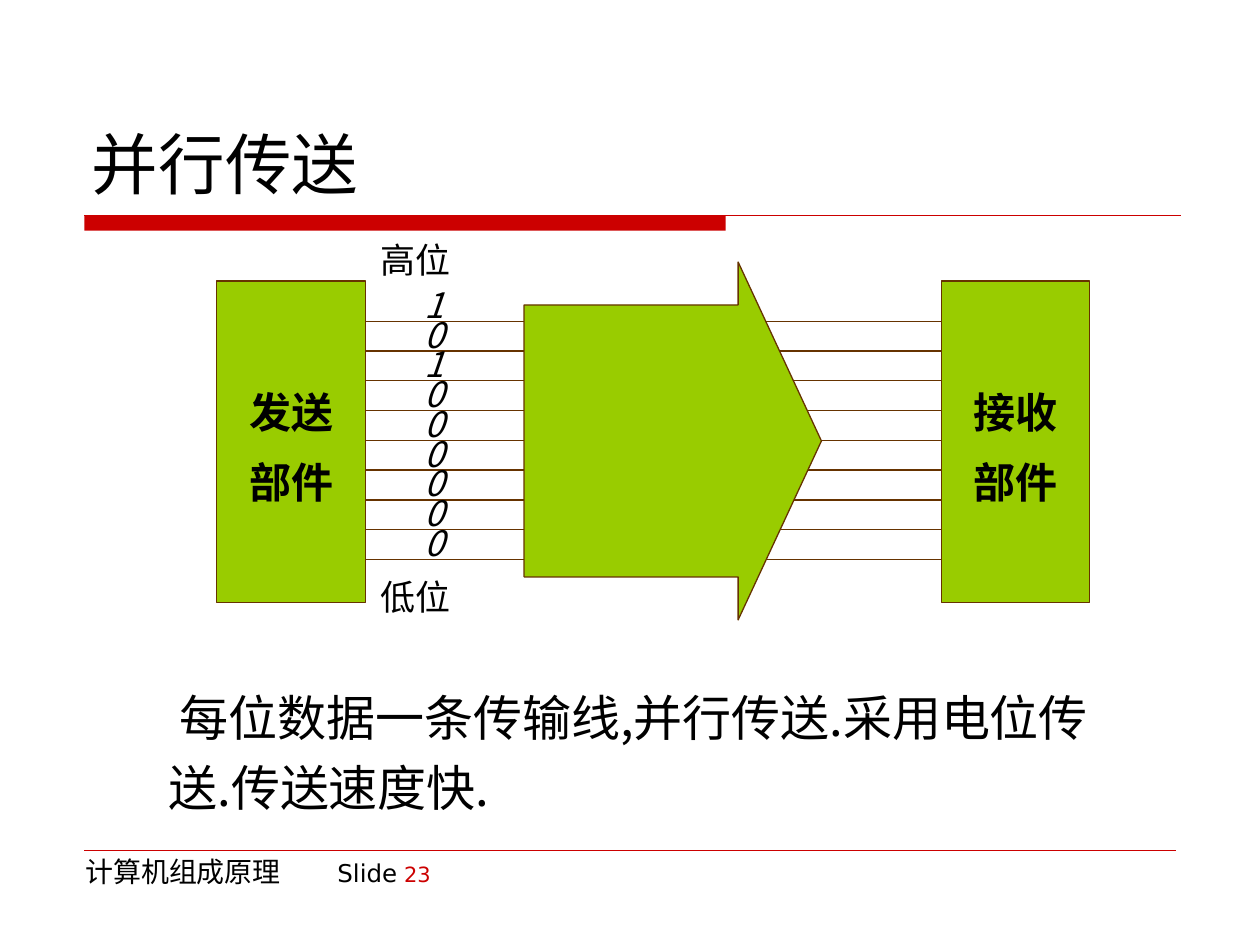
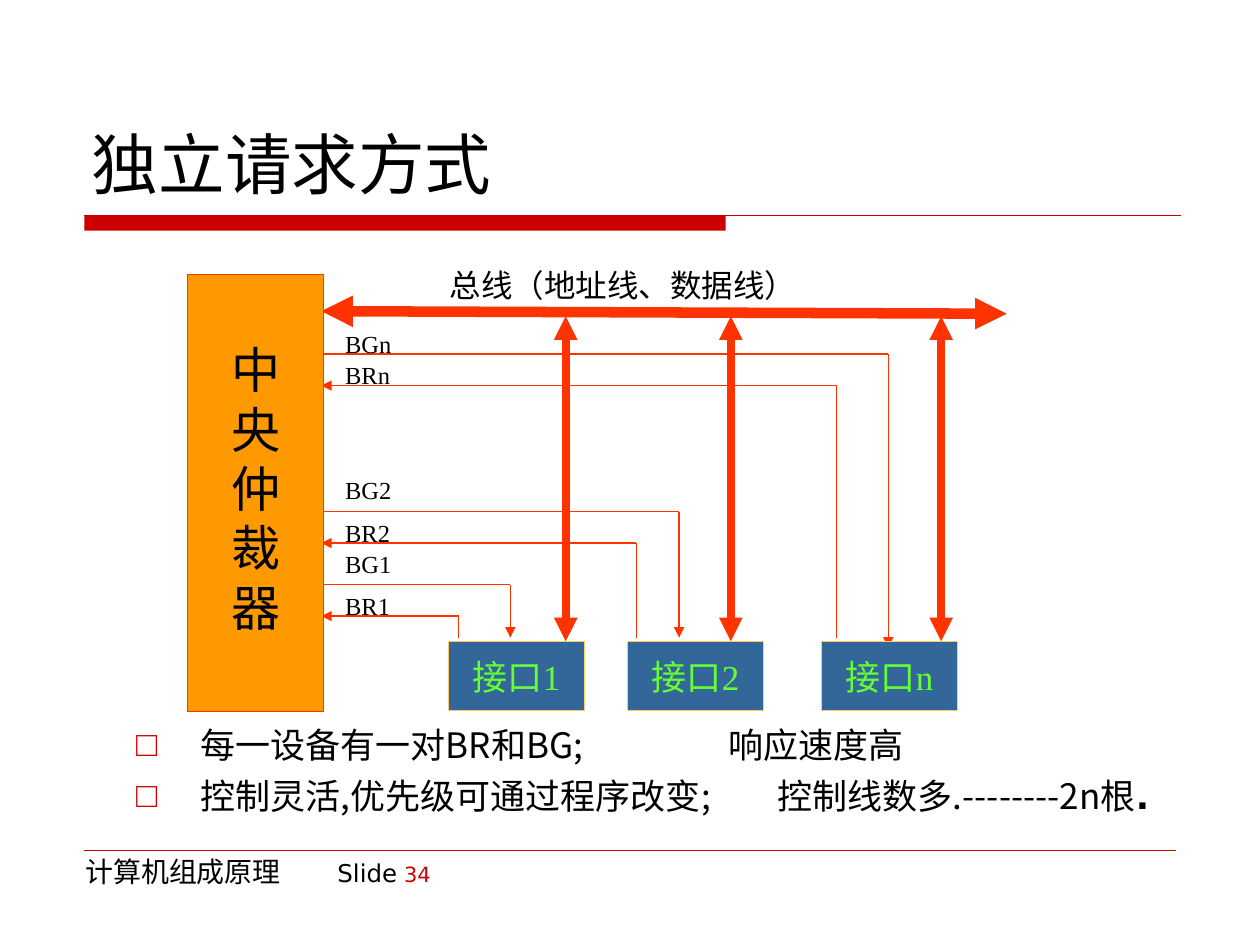
from dataclasses import dataclass

from lxml.etree import SubElement
from pptx import Presentation
from pptx.dml.color import RGBColor as RGB
from pptx.enum.shapes import MSO_CONNECTOR as Connector, MSO_SHAPE as Shape
from pptx.enum.text import MSO_ANCHOR as Anchor, MSO_AUTO_SIZE as AutoSize, PP_ALIGN as Align
from pptx.oxml.ns import qn
from pptx.util import Inches, Pt


@dataclass(frozen=True)
class Theme:
    black: str = "000000"
    accent: str = "CC0000"
    green: str = "99CC00"
    brown: str = "663300"
    orange: str = "FF9900"
    signal: str = "FF3300"
    blue: str = "336699"
    gold: str = "FFCC66"
    lime: str = "66FF33"
    sans: str = "DejaVu Sans"
    cjk: str = "Noto Sans CJK SC"
    cjk_body: str = "Noto Sans CJK JP"
    serif: str = "Times New Roman"
    title: int = 38
    large: int = 28
    block: int = 24
    body: int = 20
    bus: int = 18
    footer: int = 16
    small: int = 14
    number: int = 12


theme = Theme()


def write(frame, lines, size, font, color=theme.black, align=Align.LEFT, spacing=None,
          before=0, bold=False, italic=False, indent=(0, 0), bullet=None, tabs=()):
    for index, line in enumerate(lines):
        paragraph = frame.paragraphs[0] if index == 0 else frame.add_paragraph()
        paragraph.text = line
        props = paragraph._p.get_or_add_pPr()
        props.set("marL", str(Inches(indent[0])))
        props.set("indent", str(Inches(indent[1])))
        if bullet:
            bullet_color = SubElement(props, qn("a:buClr"))
            SubElement(bullet_color, qn("a:srgbClr"), val=theme.accent)
            SubElement(props, qn("a:buChar"), char=bullet)
        if tabs:
            stops = SubElement(props, qn("a:tabLst"))
            SubElement(stops, qn("a:tab"), pos=str(Inches(tabs[index])), algn="l")
        paragraph.alignment = align
        paragraph.line_spacing = spacing
        paragraph.space_before = Pt(before if index else 0)
        paragraph.font.size = Pt(size)
        paragraph.font.name = font
        paragraph.font.bold = bold
        paragraph.font.italic = italic
        paragraph.font.color.rgb = RGB.from_string(color)
        SubElement(props.find(qn("a:defRPr")), qn("a:ea"), typeface=theme.cjk)


def draw_line(slide, start, end, color, width=0.75, arrows=()):
    connector = slide.shapes.add_connector(
        Connector.STRAIGHT, *[Inches(value) for value in (*start, *end)])
    connector.line.color.rgb = RGB.from_string(color)
    connector.line.width = Pt(width)
    props = connector._element.spPr
    for arrow in arrows:
        SubElement(props.find(qn("a:ln")), qn(f"a:{arrow}"), type="triangle")
    SubElement(props, qn("a:effectLst"))


deck = Presentation()
deck.slide_width = Inches(10)
deck.slide_height = Inches(7.5)
parallel = deck.slides.add_slide(deck.slide_layouts[5])
request = deck.slides.add_slide(deck.slide_layouts[1])

for slide, heading, number in ((parallel, "并行传送", "23"), (request, "独立请求方式", "34")):
    title = slide.shapes.title
    title.left, title.top, title.width, title.height = map(Inches, (0.63, 0.33, 8.75, 1.33))
    title.text_frame.vertical_anchor = Anchor.BOTTOM
    title.text_frame.auto_size = AutoSize.NONE
    write(title.text_frame, [heading], theme.title, theme.sans)

    band = slide.shapes.add_shape(Shape.RECTANGLE, *map(Inches, (0.67, 1.71, 5.09, 0.12)))
    band.shadow.inherit = False
    band.fill.solid()
    band.fill.fore_color.rgb = RGB.from_string(theme.accent)
    band.line.fill.background()
    draw_line(slide, (0.67, 1.71), (9.37, 1.71), theme.accent)
    draw_line(slide, (0.67, 6.75), (9.33, 6.75), theme.accent, 0.25)

    footer = slide.shapes.add_textbox(*map(Inches, (0.58, 6.73, 3, 0.52))).text_frame
    footer.word_wrap = True
    write(footer, ["计算机组成原理"], theme.footer, theme.sans, tabs=[1.69])
    for text, size in (("\tSlide", theme.small), (" ", theme.number), (number, theme.number)):
        run = footer.paragraphs[0].add_run()
        run.text = text
        run.font.size = Pt(size)
    run.font.color.rgb = RGB.from_string(theme.accent)

labels = [
    (parallel, (2.9, 1.84, 0.79, 0.44), "高位", theme.body, theme.cjk, Align.CENTER, False),
    (parallel, (2.9, 4.52, 0.79, 0.44), "低位", theme.body, theme.cjk, Align.CENTER, False),
    (request, (3.47, 2.06, 3.33, 0.4), "总线（地址线、数据线）", theme.bus, theme.serif,
     Align.LEFT, False),
]
blocks = [
    (parallel, Shape.RECTANGLE, (1.72, 2.23, 1.18, 2.55), theme.green, theme.brown,
     ["发送", "部件"], theme.block, theme.cjk, theme.black, 1.2, 6, True),
    (parallel, Shape.RIGHT_ARROW, (4.16, 2.08, 2.36, 2.84), theme.green, theme.brown,
     [], theme.block, theme.cjk, theme.black, 1, 0, False),
    (parallel, Shape.RECTANGLE, (7.47, 2.23, 1.18, 2.55), theme.green, theme.brown,
     ["接收", "部件"], theme.block, theme.cjk, theme.black, 1.2, 6, True),
    (request, Shape.RECTANGLE, (1.49, 2.18, 1.08, 3.47), theme.orange, theme.signal,
     list("中央仲裁器"), theme.large, theme.cjk, theme.black, 0.8, 7, False),
]

bits = "101000000"
wire_top, wire_bottom = 2.55, 4.44
pitch = (wire_bottom - wire_top) / (len(bits) - 1)
for index, bit in enumerate(bits):
    wire_y = wire_top + index * pitch
    for left, right in ((2.9, 4.16), (5.89, 7.47)):
        draw_line(parallel, (left, wire_y), (right, wire_y), theme.brown)
    labels.append((parallel, (3.21, wire_y - 0.35, 0.47, 0.44), bit,
                   theme.body, theme.cjk, Align.CENTER, True))

note = parallel.shapes.add_textbox(*map(Inches, (1.24, 5.31, 7.87, 1.22))).text_frame
note.word_wrap = True
write(note, ["每位数据一条传输线,并行传送.采用电位传送.传送速度快."],
      theme.large, theme.cjk_body, spacing=1.2, indent=(0, 0.09))

points = request.placeholders[1]
points.left, points.top, points.width, points.height = map(Inches, (0.98, 5.69, 8.5, 0.96))
points.text_frame.auto_size = AutoSize.NONE
write(points.text_frame,
      ["每一设备有一对BR和BG;\t响应速度高",
       "控制灵活,优先级可通过程序改变;\t控制线数多.--------2n根"],
      theme.body, theme.cjk_body, before=5, indent=(0.51, -0.51), bullet="□",
      tabs=(4.7, 5.09))
full_stop = points.text_frame.paragraphs[1].add_run()
full_stop.text = "."
full_stop.font.name = theme.sans
full_stop.font.bold = True

arbiter_x, device_y, wire_end = 2.55, 5.09, 5.06
both_ends = ("headEnd", "tailEnd")
draw_line(request, (arbiter_x, 2.47), (7.99, 2.49), theme.signal, 6, both_ends)
devices = (
    ("1", 3.56, 4.49, 4.05, 3.64, 4.64, 4.31, wire_end),
    ("2", 4.98, 5.8, 5.39, 5.05, 4.06, 3.72, wire_end),
    ("n", 6.52, 7.47, 7.05, 6.64, 2.81, 2.56, 5.14),
)
for name, device_x, bus_x, grant_x, request_x, grant_y, grant_label_y, grant_end in devices:
    request_y = grant_y + 0.25
    draw_line(request, (bus_x, 2.51), (bus_x, device_y), theme.signal, 4.5, both_ends)
    draw_line(request, (request_x, request_y), (arbiter_x, request_y), theme.signal,
              arrows=["tailEnd"])
    draw_line(request, (request_x, request_y), (request_x, wire_end), theme.signal)
    draw_line(request, (arbiter_x, grant_y), (grant_x, grant_y), theme.signal)
    draw_line(request, (grant_x, grant_y), (grant_x, grant_end), theme.signal,
              arrows=["tailEnd"])
    for signal, label_y in (("BG", grant_label_y), ("BR", grant_y)):
        labels.append((request, (2.64, label_y, 0.92, 0.34), signal + name,
                       theme.small, theme.serif, Align.LEFT, False))
    blocks.append((request, Shape.RECTANGLE, (device_x, device_y, 1.08, 0.55), theme.blue,
                   theme.gold, ["接口" + name], theme.body, theme.serif, theme.lime,
                   1, 0, False))

for slide, place, text, size, font, align, italic in labels:
    label = slide.shapes.add_textbox(*map(Inches, place)).text_frame
    label.word_wrap = True
    write(label, [text], size, font, align=align, italic=italic)

for (slide, outline, place, fill, edge, lines, size, font, color,
     spacing, before, bold) in blocks:
    block = slide.shapes.add_shape(outline, *map(Inches, place))
    block.shadow.inherit = False
    block.fill.solid()
    block.fill.fore_color.rgb = RGB.from_string(fill)
    block.line.color.rgb = RGB.from_string(edge)
    block.line.width = Pt(0.75)
    if outline == Shape.RIGHT_ARROW:
        block.adjustments[0] = 0.76
        block.adjustments[1] = 0.28
    block.text_frame.word_wrap = False
    block.text_frame.vertical_anchor = Anchor.MIDDLE
    write(block.text_frame, lines, size, font, color, Align.CENTER, spacing, before, bold)

deck.save("out.pptx")
